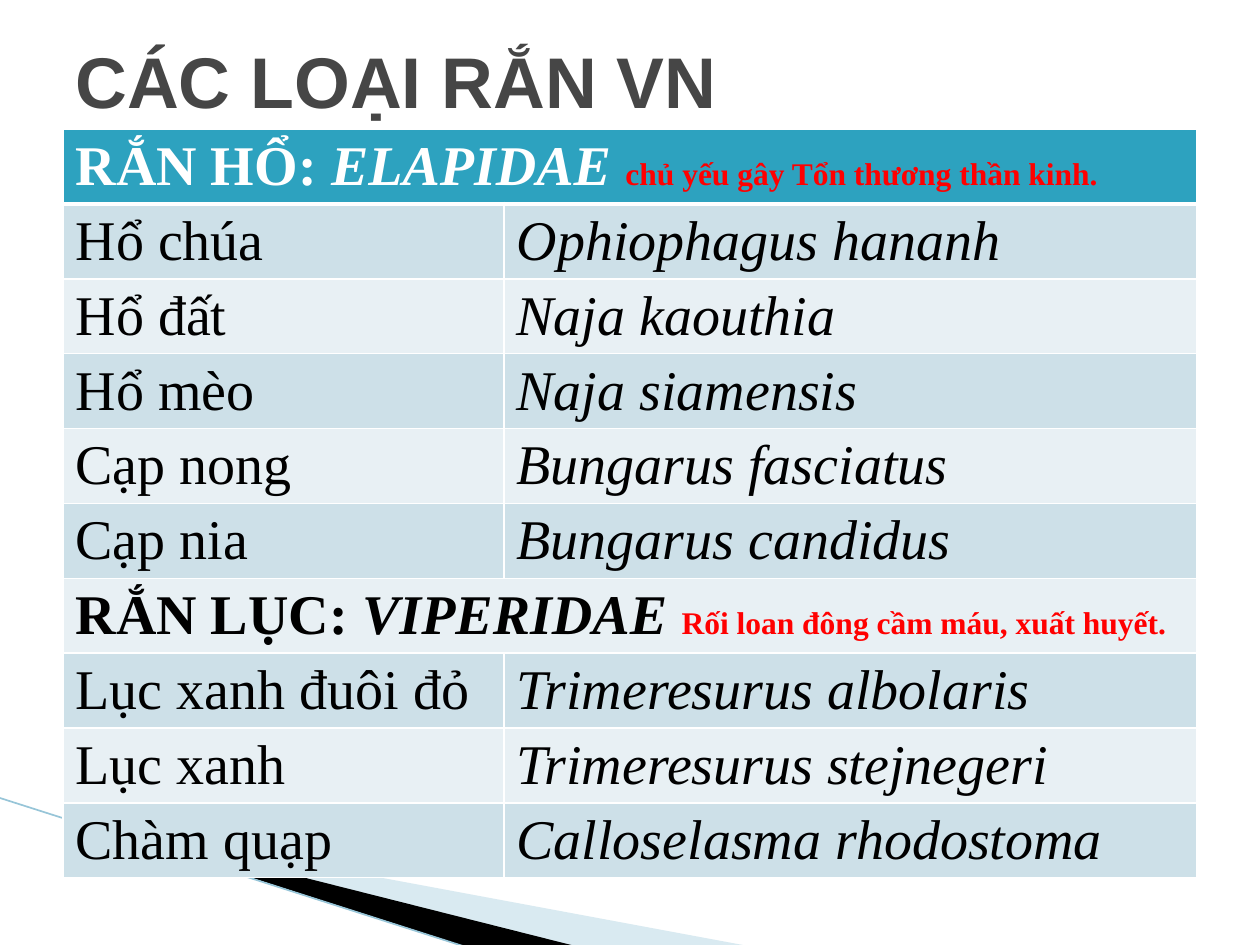
from lxml import etree
from pptx import Presentation
from pptx.dml.color import RGBColor
from pptx.enum.shapes import MSO_CONNECTOR
from pptx.enum.text import MSO_ANCHOR
from pptx.oxml.ns import qn
from pptx.util import Pt

MIDDLE = MSO_ANCHOR.MIDDLE
STRAIGHT = MSO_CONNECTOR.STRAIGHT
WHITE, BLACK, RED = "FFFFFF", "000000", "FF0000"
HEAD, DARK, PALE = "2DA2BF", "CDE0E8", "E8F0F4"

ROWS = [
    ("RẮN HỔ: ", "ELAPIDAE ", "chủ yếu gây Tổn thương thần kinh."),
    ("Hổ chúa", "Ophiophagus hananh"),
    ("Hổ đất", "Naja kaouthia"),
    ("Hổ mèo", "Naja siamensis"),
    ("Cạp nong", "Bungarus fasciatus"),
    ("Cạp nia", "Bungarus candidus"),
    ("RẮN LỤC: ", "VIPERIDAE ", "Rối loan đông cầm máu, xuất huyết."),
    ("Lục xanh đuôi đỏ", "Trimeresurus albolaris"),
    ("Lục xanh", "Trimeresurus stejnegeri"),
    ("Chàm quạp", "Calloselasma rhodostoma"),
]


def color(code):
    return RGBColor.from_string(code)


class Deck:
    """Holds the table and title style and the slide being built."""

    serif, sans = "Times New Roman", "Arial"
    big, small = 32, 18

    def __init__(self, slide):
        self.slide = slide
        self.shapes = slide.shapes

    def run(self, para, text, size, hue, face=serif, bold=False, italic=False):
        run = para.add_run()
        run.text = text
        font = run.font
        font.name, font.size = face, Pt(size)
        font.bold, font.italic = bold, italic
        font.color.rgb = color(hue)

    def blade(self, points, hue, alpha=None):
        """Draw a filled outline; alpha is its opacity in percent."""
        first, *rest = [(Pt(x), Pt(y)) for x, y in points]
        pen = self.shapes.build_freeform(*first)
        pen.add_line_segments(rest, close=True)
        shape = pen.convert_to_shape()
        shape.shadow.inherit = False
        shape.fill.solid()
        shape.fill.fore_color.rgb = color(hue)
        shape.line.fill.background()
        if alpha is not None:
            tone = shape.fill._xPr.find(".//" + qn("a:srgbClr"))
            etree.SubElement(tone, qn("a:alpha")).set("val", str(alpha * 1000))

    def line(self, x1, y1, x2, y2, hue, width):
        link = self.shapes.add_connector(STRAIGHT, Pt(x1), Pt(y1), Pt(x2), Pt(y2))
        link.line.color.rgb = color(hue)
        link.line.width = Pt(width)
        etree.SubElement(link._element.spPr, qn("a:effectLst"))

    def title(self, text, x, y, w, h):
        box = self.shapes.add_textbox(Pt(x), Pt(y), Pt(w), Pt(h))
        frame = box.text_frame
        frame.word_wrap = True
        frame.vertical_anchor = MIDDLE
        self.run(frame.paragraphs[0], text, 41, "464646", self.sans, bold=True)

    def edge(self, cell, top, bottom):
        """Give a cell white borders; they must precede its fill."""
        props = cell._tc.get_or_add_tcPr()
        for side, width in (("L", 1), ("R", 1), ("T", top), ("B", bottom)):
            rule = etree.SubElement(props, qn("a:ln" + side), w=str(Pt(width)))
            fill = etree.SubElement(rule, qn("a:solidFill"))
            etree.SubElement(fill, qn("a:srgbClr"), val=WHITE)

    def table(self, rows, x, y, widths, height):
        frame = self.shapes.add_table(len(rows), len(widths), Pt(x), Pt(y),
                                      Pt(sum(widths)), Pt(height * len(rows)))
        grid = frame.table
        for col, width in zip(grid.columns, widths):
            col.width = Pt(width)
        for i, texts in enumerate(rows):
            grid.rows[i].height = Pt(height)
            band = HEAD if i == 0 else DARK if i % 2 else PALE
            cells = list(grid.rows[i].cells)
            for cell in cells:
                self.edge(cell, 3 if i == 1 else 1, 3 if i == 0 else 1)
                cell.fill.solid()
                cell.fill.fore_color.rgb = color(band)
            if len(texts) == 3:
                cells[0].merge(cells[-1])
                para = cells[0].text_frame.paragraphs[0]
                ink = WHITE if i == 0 else BLACK
                group, latin, note = texts
                self.run(para, group, self.big, ink, bold=True)
                self.run(para, latin, self.big, ink, bold=True, italic=True)
                self.run(para, note, self.small, RED, bold=True)
            else:
                for j, text in enumerate(texts):
                    para = cells[j].text_frame.paragraphs[0]
                    self.run(para, text, self.big, BLACK, italic=j == 1)


def main():
    prs = Presentation()
    prs.slide_width, prs.slide_height = Pt(720), Pt(540)
    deck = Deck(prs.slides.add_slide(prs.slide_layouts[6]))
    deck.blade([(39.6, 468.4), (428.4, 540.7), (328.3, 540.7), (39.6, 468)],
               "A0CBDC", 40)
    deck.blade([(38.2, 467.3), (329, 540.7), (267.8, 541.4), (38.9, 468)], BLACK)
    deck.line(-0.7, 455.8, 267.1, 541.4, "97C5D8", 0.95)
    deck.table(ROWS, 36, 73.8, (252, 396), 42.7)
    deck.title("CÁC LOẠI RẮN VN", 36, 0.7, 648, 90)
    prs.save("out.pptx")


if __name__ == "__main__":
    main()
